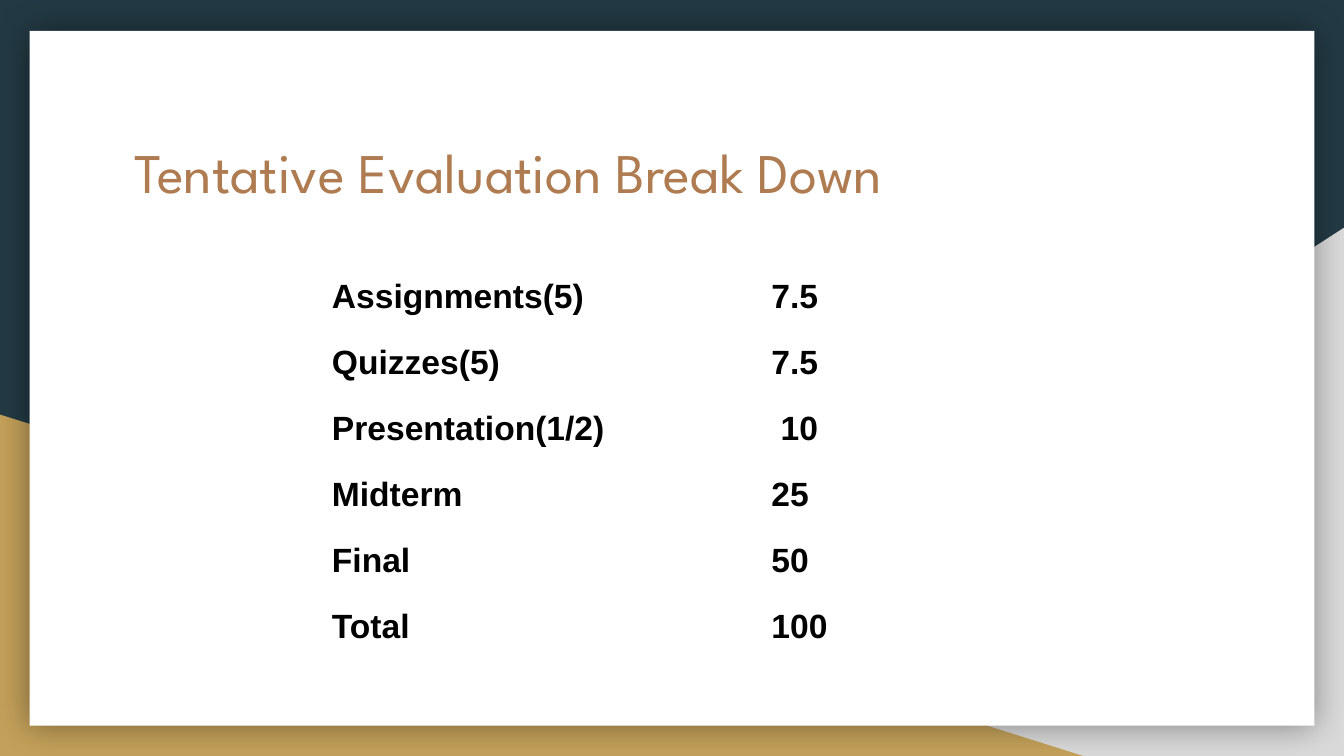
from lxml import etree
from pptx import Presentation
from pptx import util as u
from pptx.dml.color import RGBColor
from pptx.enum import shapes, text
from pptx.oxml.ns import qn

WIDTH = 10
HEIGHT = WIDTH * 9 / 16
COLORS = {
    "navy": "233A44",
    "gray": "D9D9D9",
    "gold": "C4A15A",
    "white": "FFFFFF",
    "bronze": "AF7B51",
    "black": "000000",
}
WEIGHTS = [
    ("Assignments(5)", "7.5"),
    ("Quizzes(5)", "7.5"),
    ("Presentation(1/2)", " 10"),
    ("Midterm", "25"),
    ("Final", "50"),
    ("Total", "100"),
]
COLUMN_WIDTHS = (3.27, 0.93)
ROW_HEIGHT = 0.48


def color(name):
    """Return the named colour."""
    return RGBColor.from_string(COLORS[name])


def add_panel(page, kind, left, top, width, height, fill, flip=False):
    """Add a borderless filled shape, mirrored if asked."""
    panel = page.shapes.add_shape(
        kind, u.Inches(left), u.Inches(top), u.Inches(width), u.Inches(height)
    )
    panel.shadow.inherit = False
    panel.fill.solid()
    panel.fill.fore_color.rgb = color(fill)
    panel.line.fill.background()
    if flip:
        panel._element.spPr.find(qn("a:xfrm")).set("flipH", "1")
    return panel


def add_glow(panel, blur, opacity):
    """Give a shape a soft, centred black shadow."""
    effects = panel._element.spPr.find(qn("a:effectLst"))
    shadow = etree.SubElement(
        effects, qn("a:outerShdw"), blurRad=str(u.Pt(blur)), dist="0", dir="0",
        algn="ctr", rotWithShape="0",
    )
    tint = etree.SubElement(shadow, qn("a:srgbClr"), val=COLORS["black"])
    etree.SubElement(tint, qn("a:alpha"), val=str(opacity * 1000))


def write(frame, words, *, size, font, fill, bold=False):
    """Write one formatted paragraph into a text frame."""
    span = frame.paragraphs[0].add_run()
    span.text = words
    span.font.size = u.Pt(size)
    span.font.name = font
    span.font.bold = bold
    span.font.color.rgb = color(fill)


def set_margins(holder, bottom=0.1):
    """Set the insets of a text frame or table cell."""
    holder.margin_left = holder.margin_right = holder.margin_top = u.Inches(0.1)
    holder.margin_bottom = u.Inches(bottom)


def add_title(page, words):
    """Add the slide heading."""
    box = page.shapes.add_textbox(
        u.Inches(0.9), u.Inches(0.92), u.Inches(8.21), u.Inches(1.04)
    )
    frame = box.text_frame
    frame.word_wrap = True
    frame.vertical_anchor = text.MSO_ANCHOR.TOP
    set_margins(frame)
    write(frame, words, size=30, font="League Spartan", fill="bronze")


def clear_borders(cell):
    """Hide the four borders of a table cell."""
    properties = cell._tc.get_or_add_tcPr()
    for side in ("lnL", "lnR", "lnT", "lnB"):
        border = etree.SubElement(properties, qn(f"a:{side}"), w="0")
        etree.SubElement(border, qn("a:noFill"))


def add_weights(page, rows):
    """Add the unfilled table of evaluation weights."""
    grid = page.shapes.add_table(
        len(rows), len(COLUMN_WIDTHS), u.Inches(2.37), u.Inches(1.97),
        u.Inches(sum(COLUMN_WIDTHS)), u.Inches(ROW_HEIGHT * len(rows)),
    ).table
    grid.first_row = grid.horz_banding = False
    for column, width in zip(grid.columns, COLUMN_WIDTHS):
        column.width = u.Inches(width)
    for row, values in enumerate(rows):
        for column, value in enumerate(values):
            cell = grid.cell(row, column)
            set_margins(cell, bottom=0.09)
            write(cell.text_frame, value, size=18, font="Arial", fill="black", bold=True)
            clear_borders(cell)
            cell.fill.background()


def main():
    """Build and save the slide."""
    deck = Presentation()
    deck.slide_width, deck.slide_height = u.Inches(WIDTH), u.Inches(HEIGHT)
    page = deck.slides.add_slide(deck.slide_layouts[6])
    page.background.fill.solid()
    page.background.fill.fore_color.rgb = color("navy")

    triangle = shapes.MSO_SHAPE.RIGHT_TRIANGLE
    add_panel(page, triangle, WIDTH - 6.08, HEIGHT - 3.93, 6.08, 3.93, "gray", flip=True)
    add_panel(page, triangle, 0, HEIGHT - 2.54, 8.06, 2.54, "gold")
    card = add_panel(page, shapes.MSO_SHAPE.RECTANGLE, 0.22, 0.23, 9.56, 5.17, "white")
    add_glow(card, blur=18, opacity=40)

    add_title(page, "Tentative Evaluation Break Down")
    add_weights(page, WEIGHTS)
    deck.save("out.pptx")


if __name__ == "__main__":
    main()
